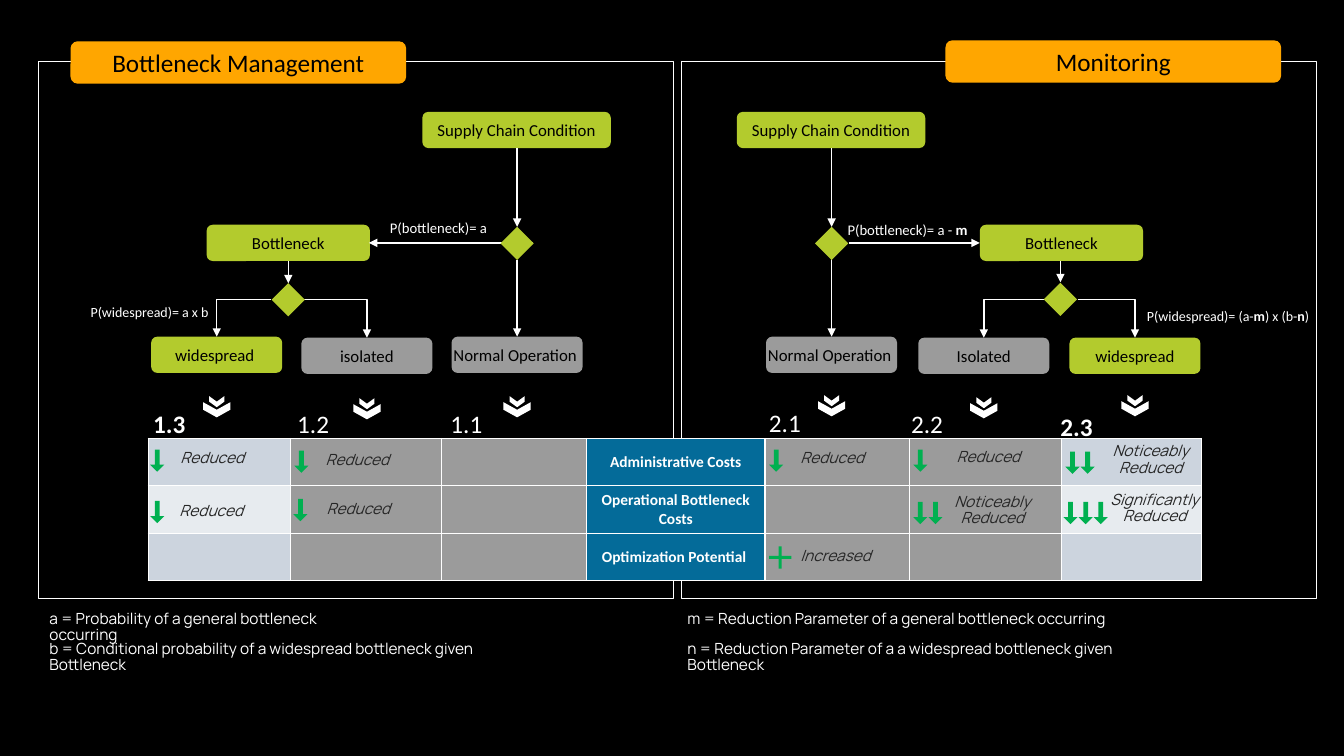
from dataclasses import dataclass, replace
from typing import NamedTuple

from lxml.etree import SubElement
from pptx import Presentation
from pptx.dml.color import RGBColor
from pptx.enum.shapes import MSO_CONNECTOR, MSO_SHAPE
from pptx.enum.text import MSO_ANCHOR, PP_ALIGN
from pptx.oxml.ns import qn
from pptx.util import Emu, Inches, Pt

# The slide is a grid of square cells; every length below counts cells.
CELL = Inches(0.1)
COLUMNS, ROWS = 133.33, 75


@dataclass(frozen=True)
class Theme:
    black: str = "000000"
    white: str = "FFFFFF"
    orange: str = "FFA600"
    lime: str = "B3CB2D"
    gray: str = "9B9B9B"
    blue: str = "046B99"
    band_dark: str = "CCD4DE"
    band_light: str = "E7EBEF"
    green: str = "00B050"
    ink: str = "262626"
    title: float = 18
    node: float = 12
    body: float = 11
    branch: float = 10.5
    small: float = 10
    line: float = 1


THEME = Theme()


class Box(NamedTuple):
    left: float
    top: float
    width: float
    height: float


@dataclass(frozen=True)
class TextStyle:
    size: float
    color: str
    font: str = "Calibri"
    bold: bool = False
    italic: bool = False
    align: PP_ALIGN = PP_ALIGN.LEFT
    anchor: MSO_ANCHOR = MSO_ANCHOR.TOP
    side: float = 1
    edge: float = 0.5
    spacing: float = 1


NODE = TextStyle(THEME.node, THEME.black, align=PP_ALIGN.CENTER, anchor=MSO_ANCHOR.MIDDLE)
TITLE = replace(NODE, size=THEME.title)
HEADING = replace(NODE, size=THEME.body, color=THEME.white, bold=True)
BRANCH = TextStyle(THEME.branch, THEME.white)
SMALL = TextStyle(THEME.small, THEME.white)
CODE = TextStyle(THEME.title, THEME.white)
LEGEND = TextStyle(THEME.body, THEME.white, "Manrope", side=0, edge=0, spacing=0.9)
EFFECT = replace(LEGEND, color=THEME.ink, italic=True)
EFFECT_CENTERED = replace(EFFECT, align=PP_ALIGN.CENTER)


class Label(NamedTuple):
    text: str
    box: Box
    style: TextStyle


class Node(NamedTuple):
    text: str
    box: Box
    fill: str = THEME.lime
    style: TextStyle = NODE


class Outcome(NamedTuple):
    text: str
    center: float
    top: float
    fill: str
    chevron: float
    code: str
    code_left: float
    code_top: float
    side: float = 1


class Link(NamedTuple):
    start: tuple[float, float]
    end: tuple[float, float]


class ArrowRun(NamedTuple):
    left: float
    top: float
    count: int = 1


FRAMES = [Box(left, 6.1, 63, 53.3) for left in (3.8, 67.6)]
NODES = [
    Node("Bottleneck Management", Box(7, 4.1, 33.3, 4.2), THEME.orange, TITLE),
    Node("Monitoring", Box(93.8, 4, 33.3, 4.2), THEME.orange, TITLE),
    Node("Supply Chain Condition", Box(41.9, 11.1, 18.7, 3.6)),
    Node("Supply Chain Condition", Box(73.1, 11.1, 18.7, 3.6)),
    Node("Bottleneck", Box(20.5, 22.3, 16.2, 3.6)),
    Node("Bottleneck", Box(97.2, 22.3, 16.2, 3.6)),
]
OUTCOMES = [
    Outcome("widespread ", 21.5, 33.4, THEME.lime, 40.65, "*1.3*", 14.2, 40),
    Outcome("isolated", 36.4, 33.5, THEME.gray, 40.85, "1.2", 28.5, 40),
    Outcome("Normal Operation ", 51.3, 33.4, THEME.gray, 40.65, "1.1", 43.7, 40, 0),
    Outcome("Normal Operation ", 82.5, 33.4, THEME.gray, 40.55, "2.1", 75.3, 39.9, 0),
    Outcome("Isolated", 97.6, 33.5, THEME.gray, 40.75, "2.2", 89.4, 40),
    Outcome("widespread", 112.6, 33.5, THEME.lime, 40.55, "*2.3*", 104.2, 40.3),
]
DIAMOND = 3.3
DIAMOND_CENTERS = [(51.3, 24.15), (28.6, 29.75), (82.5, 24.15), (105.2, 29.7)]
LINKS = [
    Link((51.3, 14.7), (51.3, 22.5)), Link((51.3, 25.8), (51.3, 33.4)),
    Link((52.9, 24.1), (36.6, 24.1)), Link((28.6, 25.9), (28.6, 28.1)),
    Link((30.2, 29.7), (36.4, 33.5)), Link((26.9, 29.7), (21.5, 33.4)),
    Link((82.5, 14.7), (82.5, 22.5)), Link((82.5, 25.7), (82.5, 33.4)),
    Link((84.2, 24.1), (97.2, 24.1)), Link((105.2, 25.9), (105.2, 28)),
    Link((106.9, 29.7), (112.6, 33.5)), Link((103.6, 29.7), (97.6, 33.5)),
]
TABLE_LEFT, TABLE_TOP, ROW_HEIGHT = 14.7, 43.5, 4.67
COLUMN_WIDTHS = [14.1, 15, 14.4, 17.7, 14.3, 15.1, 13.9]
ROW_HEADINGS = ["Administrative Costs", "Operational Bottleneck Costs", "Optimization Potential "]
ARROWS = [
    ArrowRun(14.5, 45), ArrowRun(14.5, 50.1), ArrowRun(28.8, 45.1), ArrowRun(28.7, 49.9),
    ArrowRun(75.9, 45), ArrowRun(90.2, 45), ArrowRun(90.2, 50.2, 2),
    ArrowRun(105.3, 45.2, 2), ArrowRun(105.1, 50.2, 3),
]
REDUCED_AT = [(17.9, 44.7), (17.8, 49.9), (32.4, 49.7), (32.3, 44.9), (79.4, 44.7), (94.9, 44.6)]
LABELS = [
    Label("P(bottleneck)= a", Box(37.7, 21.2, 12.6, 2.8), BRANCH),
    Label("P(widespread)= a x b", Box(8, 29.6, 24.2, 2.7), SMALL),
    Label("P(bottleneck)= a - *m*", Box(83.1, 21.4, 14.1, 2.8), BRANCH),
    Label("P(widespread)= (a-*m*) x (b-*n*)", Box(112.8, 30, 18.9, 2.8), SMALL),
    *(Label("Reduced", Box(left, top, 9.5, 2.2), EFFECT) for left, top in REDUCED_AT),
    Label("Increased", Box(79.4, 54.4, 9.5, 2.2), EFFECT),
    Label("Significantly Reduced", Box(110.1, 48.8, 8.9, 2.2), EFFECT_CENTERED),
    Label("Noticeably Reduced", Box(109.7, 44, 8.9, 2.2), EFFECT_CENTERED),
    Label("Noticeably Reduced", Box(94, 49, 8.9, 2.2), EFFECT_CENTERED),
    Label("a = Probability of a general bottleneck occurring", Box(4.9, 60.6, 30.2, 2.6), LEGEND),
    Label("b = Conditional probability of a widespread bottleneck given Bottleneck",
          Box(4.9, 63.6, 45.8, 2.6), LEGEND),
    Label("m = Reduction Parameter of a general bottleneck occurring",
          Box(68.2, 60.6, 44.4, 2.6), LEGEND),
    Label("n = Reduction Parameter of a a widespread bottleneck given Bottleneck",
          Box(68.2, 63.6, 44.4, 2.6), LEGEND),
]


def cells(count: float) -> Emu:
    return Emu(round(count * CELL))


def set_all(target, values: dict) -> None:
    for name, value in values.items():
        setattr(target, name, value)


def paint(fill, color: str) -> None:
    fill.solid()
    fill.fore_color.rgb = RGBColor.from_string(color)


def write(frame, text: str, style: TextStyle) -> None:
    """Fill a text frame; words between asterisks become bold."""
    paragraph = frame.paragraphs[0]
    set_all(paragraph, {"alignment": style.align, "line_spacing": style.spacing})
    for index, part in enumerate(text.split("*")):
        if part:
            run = paragraph.add_run()
            run.text = part
            set_all(run.font, {"name": style.font, "size": Pt(style.size),
                               "bold": style.bold or index % 2 == 1, "italic": style.italic})
            run.font.color.rgb = RGBColor.from_string(style.color)


def set_frame(frame, style: TextStyle) -> None:
    side, edge = cells(style.side), cells(style.edge)
    set_all(frame, {"word_wrap": True, "vertical_anchor": style.anchor, "margin_left": side,
                    "margin_right": side, "margin_top": edge, "margin_bottom": edge})


def add_label(slide, label: Label) -> None:
    frame = slide.shapes.add_textbox(*map(cells, label.box)).text_frame
    set_frame(frame, label.style)
    write(frame, label.text, label.style)


def add_filled(slide, kind: MSO_SHAPE, box: Box, fill: str, rotation: float = 0):
    shape = slide.shapes.add_shape(kind, *map(cells, box))
    set_all(shape, {"rotation": rotation})
    shape.shadow.inherit = False
    paint(shape.fill, fill)
    shape.line.fill.background()
    return shape


def add_frame(slide, box: Box) -> None:
    shape = add_filled(slide, MSO_SHAPE.RECTANGLE, box, THEME.black)
    shape.fill.background()
    paint(shape.line.fill, THEME.white)
    shape.line.width = Pt(THEME.line)


def add_node(slide, node: Node) -> None:
    shape = add_filled(slide, MSO_SHAPE.ROUNDED_RECTANGLE, node.box, node.fill)
    set_frame(shape.text_frame, node.style)
    write(shape.text_frame, node.text, node.style)


def add_link(slide, link: Link) -> None:
    """Draw an arrow, bent once when its ends share neither row nor column."""
    (x1, y1), (x2, y2) = link
    bent = x1 != x2 and y1 != y2
    kind = MSO_CONNECTOR.ELBOW if bent else MSO_CONNECTOR.STRAIGHT
    if bent:
        x1, x2 = sorted((x1, x2))
    connector = slide.shapes.add_connector(kind, *map(cells, (x1, y1, x2, y2)))
    properties = connector._element.spPr
    if bent:
        properties.find(qn("a:prstGeom")).set("prst", "bentConnector2")
        if link.end[0] < link.start[0]:
            transform = properties.find(qn("a:xfrm"))
            transform.set("rot", "10800000")
            transform.set("flipV", "1")
    paint(connector.line.fill, THEME.white)
    connector.line.width = Pt(THEME.line)
    SubElement(properties.find(qn("a:ln")), qn("a:tailEnd"), type="triangle")
    SubElement(properties, qn("a:effectLst"))


def add_outcome(slide, outcome: Outcome) -> None:
    box = Box(outcome.center - 6.5, outcome.top, 13, 3.6)
    add_node(slide, Node(outcome.text, box, outcome.fill, replace(NODE, side=outcome.side)))
    for width, height, rise in ((1.5, 2.7, 0), (1.1, 1.5, 0.8)):
        mark = Box(outcome.center - width / 2, outcome.chevron - rise - height / 2, width, height)
        add_filled(slide, MSO_SHAPE.CHEVRON, mark, THEME.white, 90)
    add_label(slide, Label(outcome.code, Box(outcome.code_left, outcome.code_top, 5.5, 4), CODE))


def add_border(cell) -> None:
    properties = cell._tc.get_or_add_tcPr()
    for index, side in enumerate(("lnL", "lnR", "lnT", "lnB")):
        border = properties.makeelement(qn(f"a:{side}"), {"w": str(Pt(THEME.line))})
        SubElement(SubElement(border, qn("a:solidFill")), qn("a:srgbClr"), val=THEME.white)
        properties.insert(index, border)


def add_cost_table(slide) -> None:
    box = Box(TABLE_LEFT, TABLE_TOP, sum(COLUMN_WIDTHS), ROW_HEIGHT * len(ROW_HEADINGS))
    table = slide.shapes.add_table(len(ROW_HEADINGS), len(COLUMN_WIDTHS), *map(cells, box)).table
    set_all(table, {"first_row": False, "horz_banding": False})
    for column, width in zip(table.columns, COLUMN_WIDTHS):
        column.width = cells(width)
    for row_index, heading in enumerate(ROW_HEADINGS):
        band = THEME.band_light if row_index % 2 else THEME.band_dark
        fills = [band, THEME.gray, THEME.gray, THEME.blue, THEME.gray, THEME.gray, band]
        for cell, fill in zip(table.rows[row_index].cells, fills):
            paint(cell.fill, fill)
            add_border(cell)
        middle = table.cell(row_index, len(fills) // 2)
        middle.vertical_anchor = HEADING.anchor
        write(middle.text_frame, heading, HEADING)


def add_arrow_run(slide, run: ArrowRun) -> None:
    for index in range(run.count):
        box = Box(run.left + 1.5 * index, run.top, 2.2, 1.4)
        arrow = add_filled(slide, MSO_SHAPE.RIGHT_ARROW, box, THEME.green, 90)
        arrow.adjustments[0] = 0.34


def main() -> None:
    presentation = Presentation()
    set_all(presentation, {"slide_width": cells(COLUMNS), "slide_height": cells(ROWS)})
    slide = presentation.slides.add_slide(presentation.slide_layouts[6])
    add_filled(slide, MSO_SHAPE.RECTANGLE, Box(0, 0, COLUMNS, ROWS), THEME.black)
    for box in FRAMES:
        add_frame(slide, box)
    add_cost_table(slide)
    for draw, items in ((add_node, NODES), (add_outcome, OUTCOMES), (add_link, LINKS),
                        (add_arrow_run, ARROWS), (add_label, LABELS)):
        for item in items:
            draw(slide, item)
    for x, y in DIAMOND_CENTERS:
        box = Box(x - DIAMOND / 2, y - DIAMOND / 2, DIAMOND, DIAMOND)
        add_filled(slide, MSO_SHAPE.DIAMOND, box, THEME.lime)
    plus = add_filled(slide, MSO_SHAPE.CROSS, Box(76.3, 54.2, 2.2, 2.2), THEME.green)
    plus.adjustments[0] = 0.43
    presentation.save("out.pptx")


if __name__ == "__main__":
    main()
